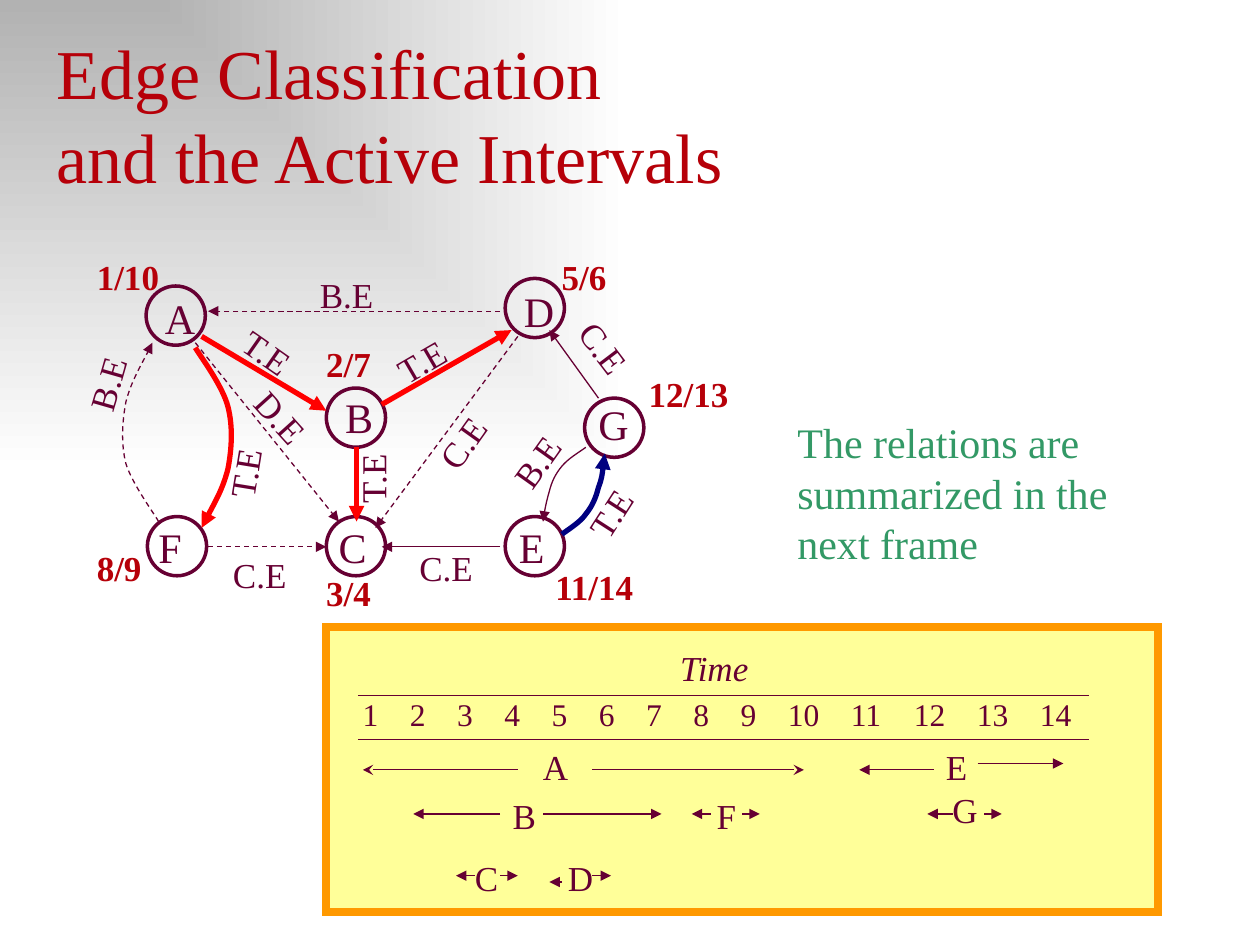
from lxml import etree
from pptx import Presentation
from pptx import util as u
from pptx.dml.color import RGBColor
from pptx.enum import dml, shapes, text
from pptx.oxml import ns

CELL = u.Inches(0.1)
COLUMNS, ROWS = 100, 75
FONT = "Times New Roman"
COLORS = {
    "plum": "660033", "crimson": "B60009", "red": "FF0000", "navy": "000080",
    "green": "339966", "yellow": "FFFF99", "orange": "FF9900",
    "gray": "B2B2B2", "white": "FFFFFF",
}

NODES = {
    "A": ((11.6, 22.7), (12.1, 22.7)),
    "B": ((25.9, 30.8), (26.4, 30.6)),
    "C": ((25.9, 41), (25.9, 40.9)),
    "D": ((40.1, 22.1), (40.6, 22.2)),
    "E": ((40.1, 41), (40.2, 40.9)),
    "F": ((11.7, 41), (11.6, 40.9)),
    "G": ((46.4, 31.6), (46.5, 31.1)),
}
TREE_EDGES = [
    ((16, 26.7), (25.9, 32.6)),
    ((30.3, 32.1), (40.6, 26.2)),
    ((28.3, 35.5), (28.3, 41.4)),
]
DASHED_EDGES = [
    ((39.7, 24.7), (16.5, 24.7)),
    ((41.1, 26.7), (29.8, 41.9)),
    ((16.5, 43.4), (25.9, 43.4)),
    ((15.5, 27.2), (26.9, 41.4)),
]
CROSS_EDGES = [
    ((39.7, 43.4), (30.3, 43.4)),
    ((47.5, 31.6), (43.6, 26.2)),
]
CURVED_EDGES = [
    ([(12.6, 41.4), (12.2, 40.7), (10.5, 38.4), (10, 36.8), (9.6, 35.2),
      (9.7, 33.5), (10, 31.9), (10.4, 30.3), (11.7, 28.1), (12.1, 27.2)],
     {"dashed": True}),
    ([(15.5, 27.6), (16, 28.4), (17.7, 30.7), (18.1, 32.3), (18.5, 33.9),
      (18.4, 35.6), (18.1, 37.2), (17.7, 38.8), (16.5, 40.9), (16, 41.9)],
     {"color": "red", "width": 3}),
    ([(46.5, 35.5), (45.8, 36), (45.1, 36.4), (44.6, 37), (44.1, 37.6),
      (43.8, 38.2), (43.6, 39), (43.4, 39.7), (43.2, 40.6), (43.1, 41.4)], {}),
    ([(44.6, 42.4), (45.3, 41.9), (46.1, 41.4), (46.5, 40.8), (47, 40.2),
      (47.3, 39.5), (47.5, 38.7), (47.8, 37.9), (47.9, 36.9), (48, 36)],
     {"color": "navy", "width": 3}),
]
EDGE_LABELS = [
    ("T.E", 44.8, 37.3, 302.8), ("T.E", 15.2, 33.9, 279.2),
    ("T.E", 18, 26.7, 35), ("T.E", 25.1, 34.3, 270),
    ("T.E", 30.3, 25.7, 329.8), ("C.E", 33, 31.9, 305.5),
    ("C.E", 17.5, 43.4, 0), ("D.E", 18.7, 31.9, 48),
    ("B.E", 4.4, 27, 286), ("B.E", 24.4, 21.2, 0),
    ("C.E", 44.3, 26.5, 52.8), ("C.E", 32.3, 42.9, 0),
    ("B.E", 38.9, 33.4, 305.5),
]
TIMESTAMPS = [
    ("1/10", 6.7, 19.8, 7.4), ("8/9", 6.7, 42.9, 7.4), ("3/4", 24.9, 44.9, 7.4),
    ("2/7", 24.9, 26.7, 7.4), ("5/6", 43.6, 19.8, 7.4), ("11/14", 43.1, 44.4, 9.4),
    ("12/13", 50.5, 29.1, 8.9),
]
INTERVALS = [
    ("A", (42.1, 58.7), (41.1, 28.8, 61.1), (47, 63.8, 61.1), "stealth"),
    ("B", (39.7, 62.6), (39.7, 32.8, 64.6), (43.1, 52.5, 64.6), "triangle"),
    ("C", (36.7, 67.5), (37.7, 36.2, 69.5), (39.7, 41.1, 69.5), "triangle"),
    ("D", (44.1, 67.5), (44.6, 43.6, 70), (47, 48.5, 69.5), "triangle"),
    ("E", (74.1, 58.7), (74.1, 68.2, 61.1), (77.6, 84.4, 60.6), "triangle"),
    ("F", (55.9, 62.6), (56.4, 54.9, 64.6), (58.9, 60.3, 64.6), "triangle"),
    ("G", (74.6, 62.1), (75.6, 73.6, 64.6), (78.1, 79.5, 64.6), "triangle"),
]


def grid(*cells):
    return [round(cell * CELL) for cell in cells]


def rgb(name):
    return RGBColor.from_string(COLORS[name])


def format_line(shape, color="plum", width=0.75, dashed=False, arrow=None):
    shape.line.color.rgb = rgb(color)
    shape.line.width = u.Pt(width)
    if dashed:
        shape.line.dash_style = dml.MSO_LINE.DASH
    properties = shape.element.spPr
    line = properties.find(ns.qn("a:ln"))
    etree.SubElement(line, ns.qn("a:miter"), lim="800000")
    if arrow:
        etree.SubElement(line, ns.qn("a:tailEnd"), type=arrow)
    if properties.find(ns.qn("a:effectLst")) is None:
        etree.SubElement(properties, ns.qn("a:effectLst"))


def write(frame, content, size=20, color="plum", bold=False, italic=False):
    frame.word_wrap = True
    frame.auto_size = text.MSO_AUTO_SIZE.NONE
    frame.text = content
    paragraph = frame.paragraphs[0]
    paragraph.alignment = text.PP_ALIGN.LEFT
    for run in paragraph.runs:
        run.font.name = FONT
        run.font.size = u.Pt(size)
        run.font.bold = bold
        run.font.italic = italic
        run.font.color.rgb = rgb(color)
    return paragraph


def add_label(slide, content, box, rotation=0, **style):
    shape = slide.shapes.add_textbox(*grid(*box))
    shape.rotation = rotation
    return write(shape.text_frame, content, **style)


def add_line(slide, start, end, **style):
    connector = slide.shapes.add_connector(
        shapes.MSO_CONNECTOR.STRAIGHT, *grid(*start, *end))
    format_line(connector, **style)


def add_outline(slide, kind, box, fill=None, **style):
    shape = slide.shapes.add_shape(kind, *grid(*box))
    if fill:
        shape.fill.solid()
        shape.fill.fore_color.rgb = rgb(fill)
    else:
        shape.fill.background()
    format_line(shape, **style)


def add_curve(slide, controls, **style):
    builder = slide.shapes.build_freeform(*grid(*controls[0]))
    builder.add_line_segments([grid(*point) for point in controls[1:]], close=False)
    shape = builder.convert_to_shape()
    segments = list(shape.element.iter(ns.qn("a:lnTo")))
    outline = segments[0].getparent()
    for first in range(0, len(segments), 3):
        curve = etree.SubElement(outline, ns.qn("a:cubicBezTo"))
        for segment in segments[first:first + 3]:
            curve.append(segment[0])
            outline.remove(segment)
    shape.fill.background()
    format_line(shape, arrow="triangle", **style)


def set_background(slide):
    fill = slide.background.fill
    fill.gradient()
    for stop, color in zip(fill.gradient_stops, ("gray", "white")):
        stop.color.rgb = rgb(color)
    gradient = next(slide.element.iter(ns.qn("a:gradFill")))
    gradient.remove(gradient.find(ns.qn("a:lin")))
    shade = etree.SubElement(gradient, ns.qn("a:path"))
    shade.set("path", "rect")
    etree.SubElement(shade, ns.qn("a:fillToRect"), r="100000", b="100000")


def add_title(slide):
    title = slide.shapes.title
    title.left, title.top, title.width, title.height = grid(3.5, 1.9, 94.5, 14.3)
    title.text_frame.vertical_anchor = text.MSO_ANCHOR.BOTTOM
    write(title.text_frame, "Edge Classification\vand the Active Intervals",
          size=40, color="crimson")


def add_graph(slide):
    for name, (circle, letter) in NODES.items():
        add_outline(slide, shapes.MSO_SHAPE.OVAL, (*circle, 4.7, 4.7), width=2)
        add_label(slide, name, (*letter, 6.4, 5), size=24)
    for edges, style in ((TREE_EDGES, {"color": "red", "width": 3}),
                         (DASHED_EDGES, {"dashed": True}), (CROSS_EDGES, {})):
        for start, end in edges:
            add_line(slide, start, end, arrow="triangle", **style)
    for controls, style in CURVED_EDGES:
        add_curve(slide, controls, **style)
    for label, column, row, rotation in EDGE_LABELS:
        add_label(slide, label, (column, row, 8.9, 4.3), rotation)
    for label, column, row, width in TIMESTAMPS:
        add_label(slide, label, (column, row, width, 4.3), color="crimson", bold=True)


def add_timeline(slide):
    add_outline(slide, shapes.MSO_SHAPE.RECTANGLE, (25.9, 49.8, 66, 22.6),
                fill="yellow", color="orange", width=4.5)
    add_label(slide, "Time", (53, 50.8, 20.2, 4.3), italic=True)
    for row in (55.2, 58.7):
        add_line(slide, (28.4, row), (86.4, row))
    scale = add_label(slide, "\t".join(str(time) for time in range(1, 15)),
                      (27.8, 54.7, 58.6, 4), size=18)
    tabs = etree.SubElement(scale._p.get_or_add_pPr(), ns.qn("a:tabLst"))
    for time in range(2, 15):
        position = 3.75 * (time - 1) + 1.25 * max(0, time - 10)
        etree.SubElement(tabs, ns.qn("a:tab"), pos=str(grid(position)[0]), algn="l")
    for name, place, *arrows, head in INTERVALS:
        add_label(slide, name, (*place, 4.4, 4.3))
        for start, end, row in arrows:
            add_line(slide, (start, row), (end, row), arrow=head)


def main():
    presentation = Presentation()
    presentation.slide_width, presentation.slide_height = grid(COLUMNS, ROWS)
    slide = presentation.slides.add_slide(presentation.slide_layouts[5])
    set_background(slide)
    add_title(slide)
    add_timeline(slide)
    add_graph(slide)
    add_label(slide, "The relations are summarized in the next frame",
              (62.3, 32.6, 28.1, 13), size=24, color="green")
    presentation.save("out.pptx")


if __name__ == "__main__":
    main()
